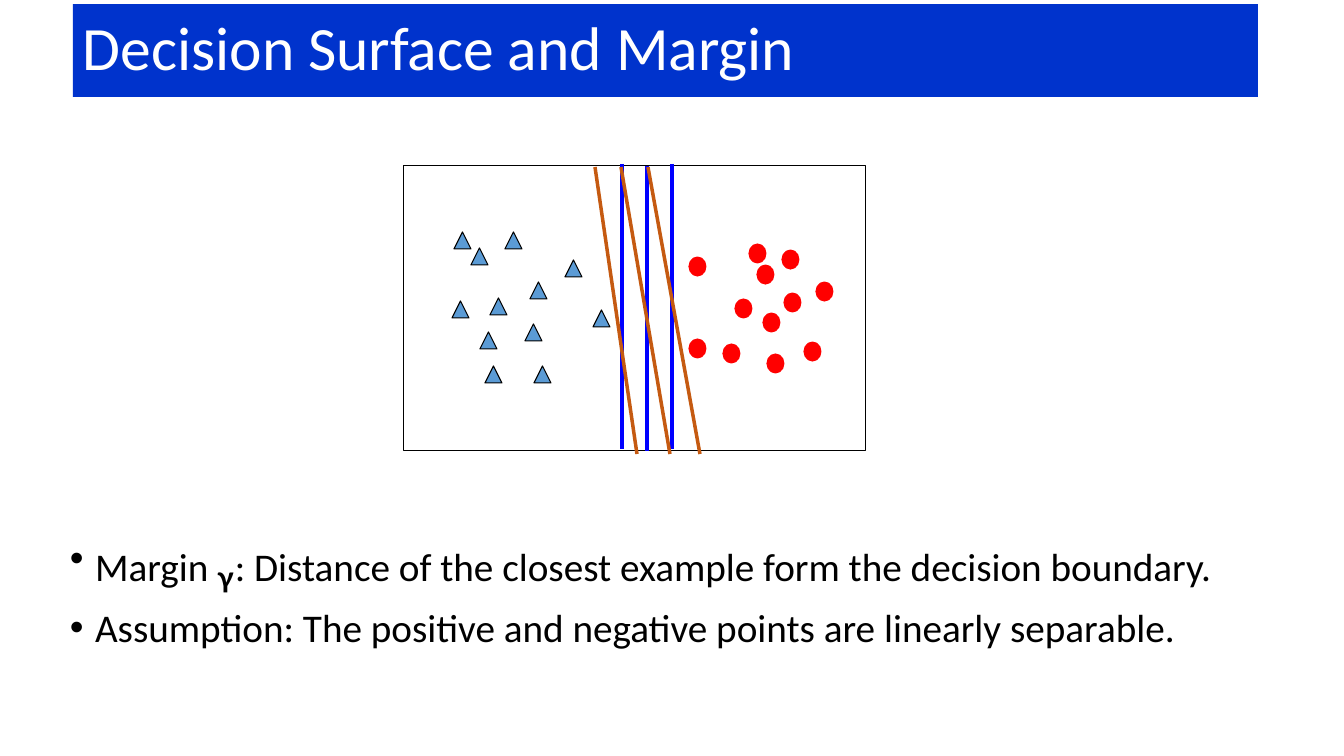
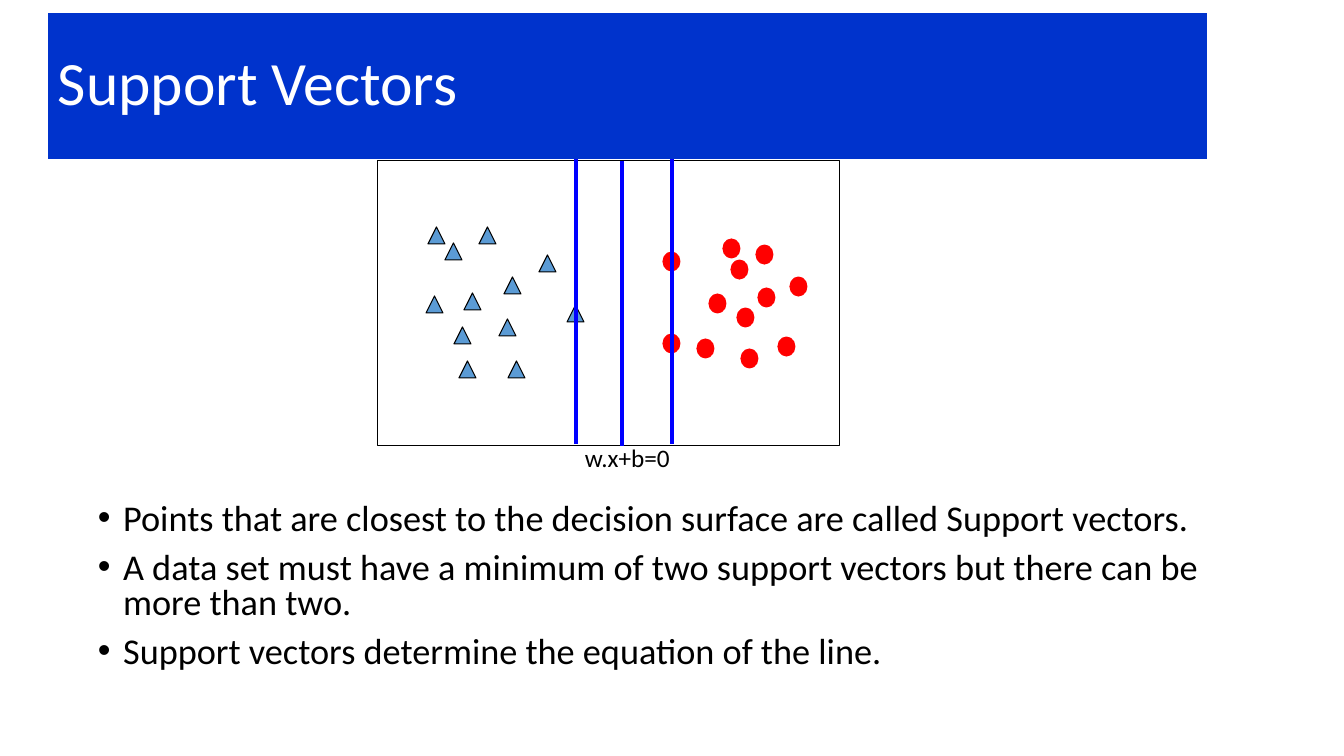
"""Build two slides on decision margins and support vectors."""
import pptx
import pptx.util
import pptx.dml.color
import pptx.enum.shapes
import pptx.enum.text
import pptx.oxml.ns
import lxml.etree

Pt = pptx.util.Pt
Kind = pptx.enum.shapes.MSO_SHAPE
Anchor = pptx.enum.text.MSO_ANCHOR
Align = pptx.enum.text.PP_ALIGN
qn = pptx.oxml.ns.qn

FONT = "Calibri"
SCALE = 914400 / 100.8
COLORS = {"band": "0033CC", "white": "FFFFFF", "ink": "000000",
          "tri": "5B9BD5", "dot": "FF0000", "blue": "0000FF",
          "tilt": "C55A11"}

FRAME = (462, 285)
TRIS = [(50, 66), (67, 82), (101, 66), (86, 132), (126, 116), (76, 166),
        (121, 158), (81, 200), (130, 200), (48, 135), (189, 144), (161, 94)]
DOTS = [(285, 91), (331, 133), (359, 147), (353, 99), (380, 127), (378, 84),
        (412, 116), (363, 188), (319, 178), (285, 173), (400, 176), (345, 78)]
MARKS = [(TRIS, Kind.FLOWCHART_EXTRACT, (17, 17), "tri", "ink"),
         (DOTS, Kind.FLOWCHART_CONNECTOR, (17, 19), "dot", "dot")]

SLIDES = [
    {"title": "Decision Surface and Margin",
     "band": (73, 4, 1185, 93),
     "plot": (404, 166),
     "blue": (218, 243, 268),
     "tilt": [(191, 233), (217, 266), (244, 296)],
     "label": None,
     "body": (60, 523, 1184, 182), "size": 28, "lead": 0.9,
     "items": [
         [("Margin ", 28), ("\u1d67", 44),
          (": Distance of the closest example form the decision boundary.",
           28)],
         [("Assumption: The positive and negative points are linearly "
           "separable.", 28)]]},
    {"title": "Support Vectors",
     "band": (48, 13, 1159, 146),
     "plot": (378, 161),
     "blue": (198, 244, 294),
     "tilt": [],
     "label": ("w.x+b=0", (575, 437, 106, 40)),
     "body": (88, 499, 1121, 190), "size": 25.9, "lead": 0.8,
     "items": [
         [("Points that are closest to the decision surface are called "
           "Support vectors.", 25.9)],
         [("A data set must have a minimum of two support vectors but there "
           "can be more than two.", 25.9)],
         [("Support vectors determine the equation of the line.", 25.9)]]},
]


def px(*vals):
    return [pptx.util.Emu(round(v * SCALE)) for v in vals]


def rgb(name):
    return pptx.dml.color.RGBColor.from_string(COLORS[name])


def style(run, size, color):
    run.font.name = FONT
    run.font.size = Pt(size)
    run.font.color.rgb = rgb(color)


def shape(parent, kind, box, fill=None, line=None):
    item = parent.add_shape(kind, *px(*box))
    item.shadow.inherit = False
    if fill:
        item.fill.solid()
        item.fill.fore_color.rgb = rgb(fill)
    else:
        item.fill.background()
    if line:
        item.line.color.rgb = rgb(line)
        item.line.width = Pt(0.75)
    else:
        item.line.fill.background()
    return item


def rule(parent, start, end, color):
    line = parent.add_connector(pptx.enum.shapes.MSO_CONNECTOR.STRAIGHT,
                                *px(*start, *end))
    line.line.color.rgb = rgb(color)
    line.line.width = Pt(2.5)
    props = line._element.find(qn("p:spPr"))
    lxml.etree.SubElement(props, qn("a:effectLst"))


def band(slide, text, box):
    frame = shape(slide.shapes, Kind.RECTANGLE, box, "band").text_frame
    frame.word_wrap = True
    frame.vertical_anchor = Anchor.MIDDLE
    frame.text = text
    para = frame.paragraphs[0]
    para.alignment = Align.LEFT
    para.line_spacing = 0.9
    style(para.runs[0], 44, "white")


def plot(slide, data):
    group = slide.shapes.add_group_shape().shapes
    left, top = data["plot"]
    wide, high = FRAME
    shape(group, Kind.RECTANGLE, (left, top, wide, high), line="ink")
    for spots, kind, size, fill, line in MARKS:
        for x, y in spots:
            shape(group, kind, (left + x, top + y, *size), fill, line)
    for i, x in enumerate(data["blue"]):
        y = top if i == 1 else top - 2
        rule(group, (left + x, y), (left + x, y + high), "blue")
    for x, end in data["tilt"]:
        rule(group, (left + x, top + 1), (left + end, top + high + 3), "tilt")


def body(slide, data):
    frame = slide.shapes.add_textbox(*px(*data["body"])).text_frame
    frame.word_wrap = True
    for i, parts in enumerate(data["items"]):
        para = frame.add_paragraph() if i else frame.paragraphs[0]
        para.line_spacing = data["lead"]
        para.space_before = Pt(10)
        props = para._p.get_or_add_pPr()
        props.set("marL", "228600")
        props.set("indent", "-228600")
        font = lxml.etree.SubElement(props, qn("a:buFont"))
        font.set("typeface", "Arial")
        lxml.etree.SubElement(props, qn("a:buChar")).set("char", "\u2022")
        for text, size in parts:
            run = para.add_run()
            run.text = text
            style(run, size, "ink")


def label(slide, text, box):
    frame = slide.shapes.add_textbox(*px(*box)).text_frame
    frame.word_wrap = False
    frame.text = text
    style(frame.paragraphs[0].runs[0], 18, "ink")


def main():
    deck = pptx.Presentation()
    deck.slide_width, deck.slide_height = px(1344, 756)
    for data in SLIDES:
        slide = deck.slides.add_slide(deck.slide_layouts[6])
        band(slide, data["title"], data["band"])
        body(slide, data)
        plot(slide, data)
        if data["label"]:
            label(slide, *data["label"])
    deck.save("out.pptx")


main()
